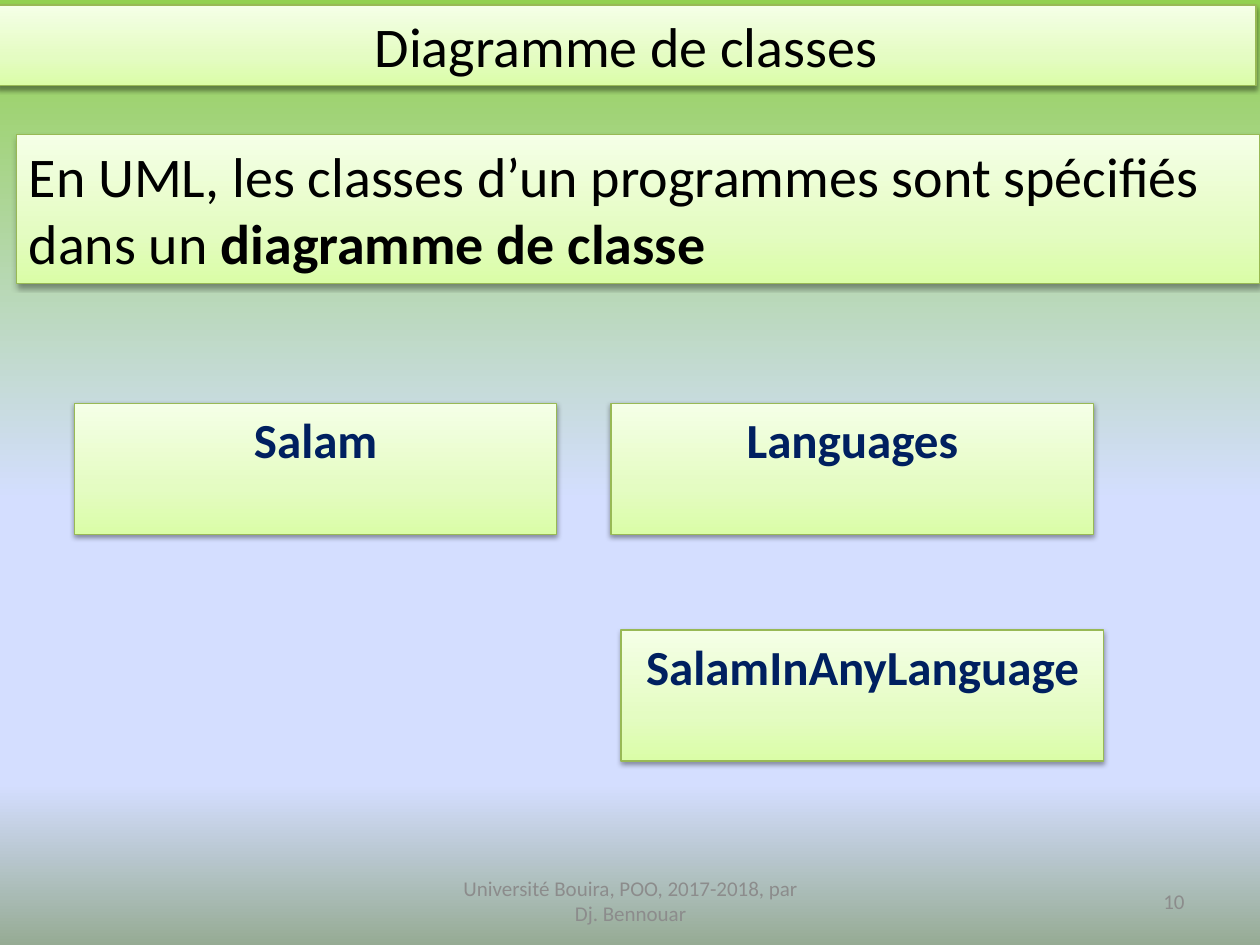
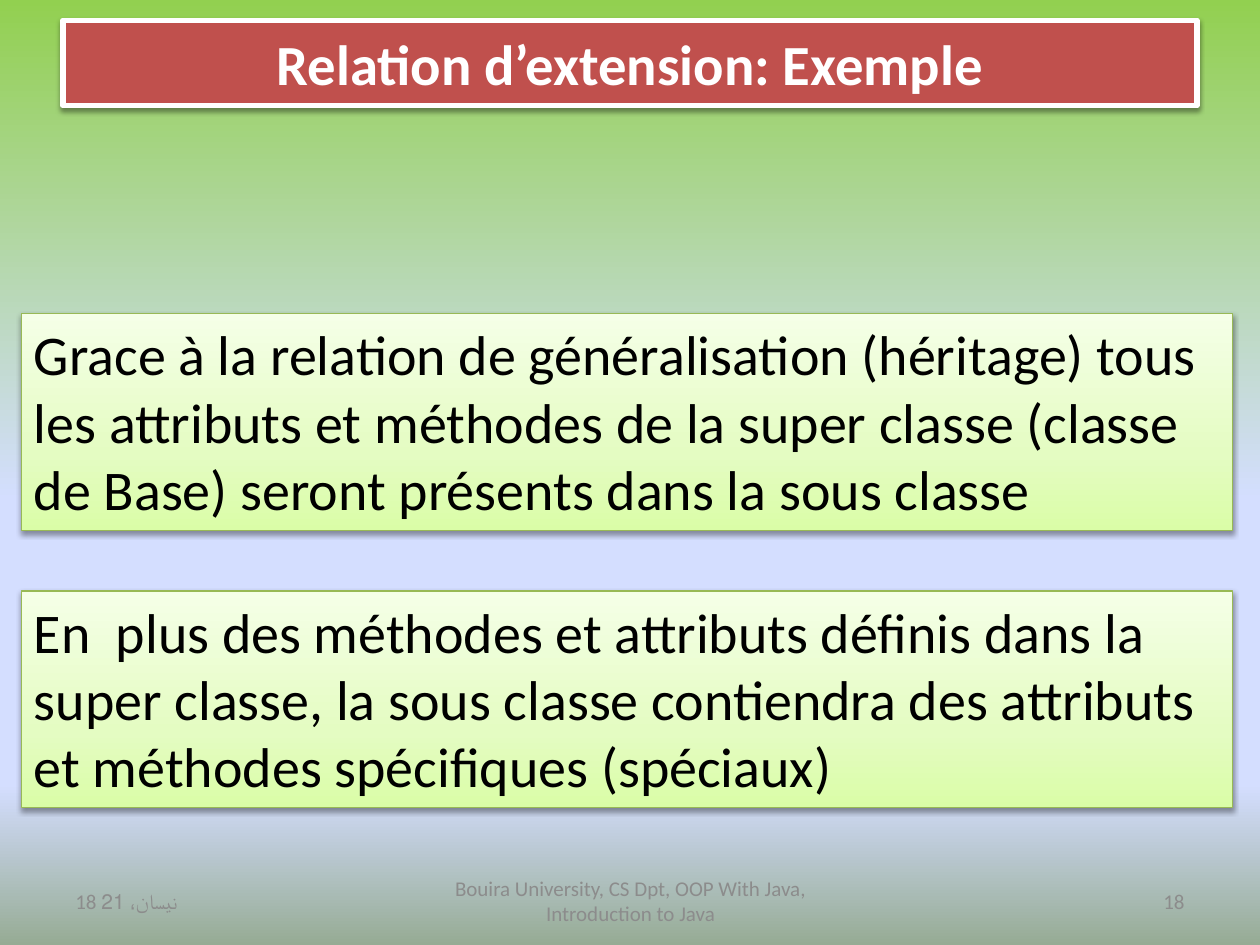
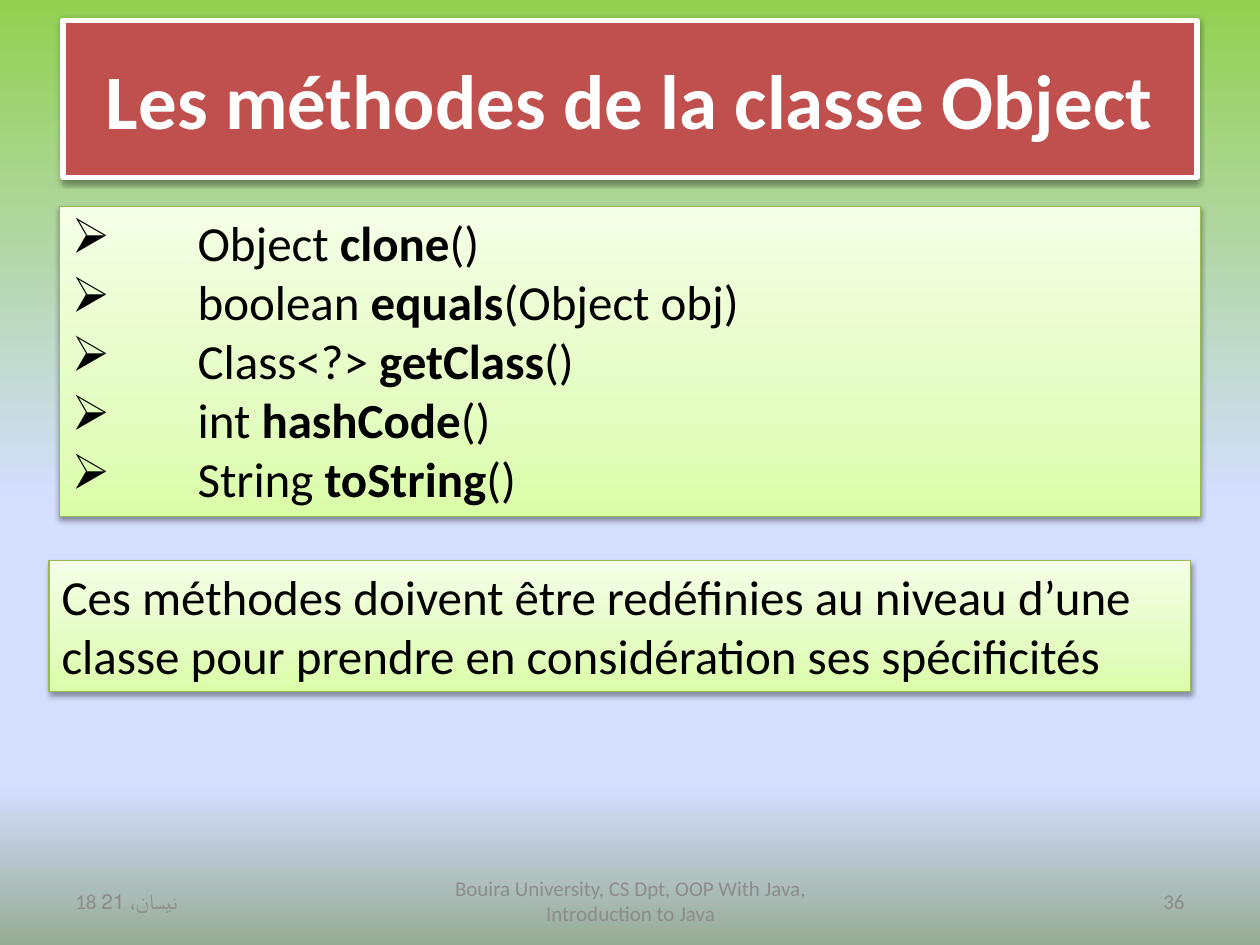
"""Build three slides of a course on classes and inheritance."""
from lxml import etree
from pptx import Presentation
from pptx.dml.color import RGBColor
from pptx.enum.shapes import MSO_SHAPE
from pptx.enum.text import MSO_ANCHOR, PP_ALIGN
from pptx.oxml import parse_xml
from pptx.oxml.ns import nsdecls, qn
from pptx.util import Inches, Pt

COLORS = {
    "black": "000000", "white": "FFFFFF", "navy": "002060", "grey": "8C8C8C",
    "red": "C0504D", "green_line": "98B955",
}
FONT = "Calibri"
SKY = [(0, "92D050"), (53, "D4DEFF"), (83, "D4DEFF"), (100, "96AB94")]
LIME = [(0, "DAFDA7"), (35, "E4FCC2"), (100, "F5FFE7")]
SHADOW = (
    f'<a:outerShdw {nsdecls("a")} blurRad="{Pt(3.1)}" dist="{Pt(1.6)}" dir="5400000" rotWithShape="0">'
    f'<a:srgbClr val="{COLORS["black"]}"><a:alpha val="38000"/></a:srgbClr></a:outerShdw>'
)
LEFT, CENTER, RIGHT = PP_ALIGN.LEFT, PP_ALIGN.CENTER, PP_ALIGN.RIGHT
COURSE = "Bouira University, CS Dpt, OOP With Java, Introduction to Java"
DATE = "18 نيسان، 21"
METHODS = [
    "Object *clone*()", "boolean *equals*(Object obj)", "Class<?> *getClass*()",
    "int *hashCode*()", "String *toString*()",
]

CLASS_SIZE = (3.83, 1.04)
SLIDES = [
    {
        "footers": ["", "Université Bouira, POO, 2017-2018, par\nDj. Bennouar", "10"],
        "panels": [
            ((-0.03, 0.04, 10, 0.64), "Diagramme de classes", 32, "black", CENTER),
            ((0.13, 1.07, 9.87, 1.18),
             "En UML, les classes d’un programmes sont spécifiés dans un *diagramme de classe*",
             32, "black", LEFT),
            ((4.93, 5, *CLASS_SIZE), "*SalamInAnyLanguage*", 28, "navy", CENTER),
            ((4.85, 3.2, *CLASS_SIZE), "*Languages*", 28, "navy", CENTER),
            ((0.59, 3.2, *CLASS_SIZE), "*Salam*", 28, "navy", CENTER),
        ],
    },
    {
        "title": ("*Relation d’extension: Exemple*", 0.68, 32.4),
        "footers": [DATE, COURSE, "18"],
        "panels": [
            ((0.17, 2.49, 9.61, 1.72),
             "Grace à la relation de généralisation (héritage) tous les attributs et méthodes "
             "de la super classe (classe de Base) seront présents dans la sous classe",
             32, "black", LEFT),
            ((0.17, 4.69, 9.61, 1.72),
             "En  plus des méthodes et attributs définis dans la super classe, la sous classe "
             "contiendra des attributs et méthodes spécifiques (spéciaux)",
             32, "black", LEFT),
        ],
    },
    {
        "title": ("*Les méthodes de la classe Object*", 1.25, 44),
        "footers": [DATE, COURSE, "36"],
        "bulleted": "\n".join(METHODS),
        "panels": [
            ((0.47, 1.64, 9.06, 2.46), "\n".join(METHODS), 28, "black", LEFT),
            ((0.39, 4.45, 9.06, 1.04),
             "Ces méthodes doivent être redéfinies au niveau d’une classe pour prendre "
             "en considération ses spécificités", 28, "black", LEFT),
        ],
    },
]
FOOTERS = [(0.5, 2.33, LEFT), (3.42, 3.17, CENTER), (7.17, 2.33, RIGHT)]


def paint_gradient(fill, element, stops, angle):
    fill.gradient()
    fill.gradient_angle = angle
    stop_list = element.find(".//" + qn("a:gsLst"))
    for stop in list(stop_list):
        stop_list.remove(stop)
    for position, color in stops:
        stop = etree.SubElement(stop_list, qn("a:gs"), pos=str(position * 1000))
        etree.SubElement(stop, qn("a:srgbClr"), val=color)


def write(box, text, size, color, align, anchor, bulleted=False):
    frame = box.text_frame
    frame.word_wrap = True
    frame.vertical_anchor = anchor
    for number, line in enumerate(text.split("\n")):
        paragraph = frame.add_paragraph() if number else frame.paragraphs[0]
        paragraph.alignment = align
        if bulleted:
            properties = paragraph._p.get_or_add_pPr()
            properties.set("marL", str(Inches(1)))
            properties.set("indent", str(-Inches(1)))
            etree.SubElement(properties, qn("a:buChar"), char="➢")
        for index, piece in enumerate(line.split("*")):
            if piece:
                span = paragraph.add_run()
                span.text = piece
                span.font.name = FONT
                span.font.size = Pt(size)
                span.font.bold = index % 2 == 1
                span.font.color.rgb = RGBColor.from_string(COLORS[color])


deck = Presentation()
deck.slide_width = Inches(10)
deck.slide_height = Inches(7.5)

for content in SLIDES:
    page = deck.slides.add_slide(deck.slide_layouts[6])
    paint_gradient(page.background.fill, page._element, SKY, 270)

    boxes = [(*panel, MSO_ANCHOR.TOP) for panel in content["panels"]]
    if "title" in content:
        title, height, size = content["title"]
        boxes.insert(0, ((0.5, 0.16, 9, height), title, size, "white", CENTER, MSO_ANCHOR.MIDDLE))

    for place, text, size, color, align, anchor in boxes:
        box = page.shapes.add_shape(MSO_SHAPE.RECTANGLE, *map(Inches, place))
        if color == "white":
            box.fill.solid()
            box.fill.fore_color.rgb = RGBColor.from_string(COLORS["red"])
            line_color, line_width = "white", 3
        else:
            paint_gradient(box.fill, box._element, LIME, 90)
            line_color, line_width = "green_line", 0.75
        box.line.color.rgb = RGBColor.from_string(COLORS[line_color])
        box.line.width = Pt(line_width)
        box.shadow.inherit = False
        box._element.spPr.find(qn("a:effectLst")).append(parse_xml(SHADOW))
        write(box, text, size, color, align, anchor, text == content.get("bulleted"))

    for (left, width, align), text in zip(FOOTERS, content["footers"]):
        if text:
            box = page.shapes.add_textbox(Inches(left), Inches(6.95), Inches(width), Inches(0.4))
            write(box, text, 12, "grey", align, MSO_ANCHOR.MIDDLE)

deck.save("out.pptx")
